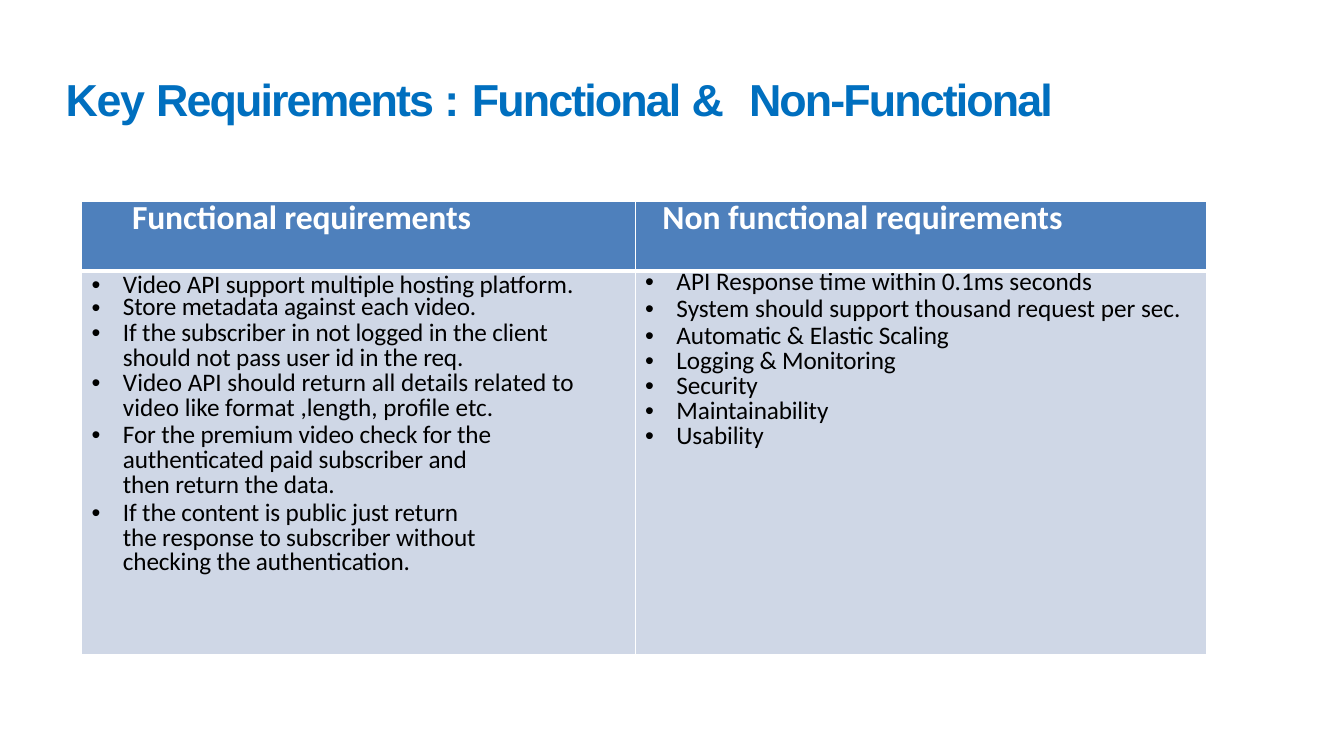
import lxml.etree
import pptx
import pptx.dml.color
import pptx.enum.text
import pptx.oxml.ns
import pptx.util

Inches = pptx.util.Inches
Pt = pptx.util.Pt
WHITE = "FFFFFF"


def color(hex):
    """Turn a hex string into a colour."""
    return pptx.dml.color.RGBColor.from_string(hex)


def node(parent, tag, **attrs):
    """Append an XML element in the drawing namespace."""
    item = lxml.etree.SubElement(parent, pptx.oxml.ns.qn("a:" + tag))
    for name, value in attrs.items():
        item.set(name, str(value))
    return item


def write(para, runs, font="Calibri", size=18, ink="000000", bold=False,
          line=None, before=0, left=0, right=0, hang=0, bullet=None):
    """Fill a paragraph with (text, letter spacing) runs and format it."""
    para.alignment = pptx.enum.text.PP_ALIGN.LEFT
    para.space_before = Pt(before)
    if line:
        para.line_spacing = Pt(line)
    props = para._p.get_or_add_pPr()
    for name, value in (("marL", left), ("marR", right), ("indent", -hang)):
        props.set(name, str(Inches(value)))
    if bullet:
        node(props, "buFont", typeface="Arial")
        node(props, "buChar", char=bullet)
    else:
        node(props, "buNone")
    for text, space in runs:
        run = para.add_run()
        run.text = text
        run.font.name = font
        run.font.size = Pt(size)
        run.font.bold = bold
        run.font.color.rgb = color(ink)
        run._r.get_or_add_rPr().set("spc", str(round(space * 100)))


class Deck:
    """Hold the style and the current slide."""

    blue, pale, accent = "4E80BC", "CFD7E6", "006FBF"

    def __init__(self):
        self.show = pptx.Presentation()
        self.show.slide_width = Inches(13.33)
        self.show.slide_height = Inches(7.5)
        self.slide = self.show.slides.add_slide(self.show.slide_layouts[5])

    def title(self, runs, left, top, width, height):
        """Place and fill the title."""
        shape = self.slide.shapes.title
        shape.left, shape.top = Inches(left), Inches(top)
        shape.width, shape.height = Inches(width), Inches(height)
        frame = shape.text_frame
        frame.margin_left = frame.margin_right = frame.margin_bottom = 0
        frame.margin_top = Inches(0.01)
        frame.vertical_anchor = pptx.enum.text.MSO_ANCHOR.MIDDLE
        frame.auto_size = pptx.enum.text.MSO_AUTO_SIZE.NONE
        write(frame.paragraphs[0], runs, font="Arial", size=32,
              ink=self.accent, bold=True, before=1, left=0.01)

    def table(self, left, top, widths, heights):
        """Add an empty table and return it."""
        table = self.slide.shapes.add_table(
            len(heights), len(widths), Inches(left), Inches(top),
            Inches(sum(widths)), Inches(sum(heights))).table
        for col, width in zip(table.columns, widths):
            col.width = Inches(width)
        for row, height in zip(table.rows, heights):
            row.height = Inches(height)
        return table

    def cell(self, cell, fill, paras, edges, top=0):
        """Fill a cell with paragraphs, a colour and white borders."""
        cell.margin_left = cell.margin_right = cell.margin_bottom = 0
        cell.margin_top = Inches(top)
        cell.fill.solid()
        cell.fill.fore_color.rgb = color(fill)
        props = cell._tc.get_or_add_tcPr()
        for spot, (side, width) in enumerate(zip("LRTB", edges)):
            edge = node(props, "ln" + side, w=Pt(width))
            node(node(edge, "solidFill"), "srgbClr", val=WHITE)
            props.insert(spot, edge)
        frame = cell.text_frame
        for spot, (runs, style) in enumerate(paras):
            para = frame.add_paragraph() if spot else frame.paragraphs[0]
            write(para, runs, **style)


def point(runs, line=17.9, **style):
    """Describe one bulleted paragraph."""
    if isinstance(runs, str):
        runs = [(runs, -0.1)]
    return runs, dict(line=line, left=0.41, hang=0.31, bullet="•", **style)


def head(runs, left):
    """Describe one header paragraph."""
    return runs, dict(size=24, ink=WHITE, bold=True, line=26.4, left=left)


deck = Deck()
deck.title([("Key ", -1), ("Requirements ", -1.4), (": ", 0),
            ("Functional ", -1.4), ("&  ", 0), ("Non-Functional", -1.4)],
           0.64, 0.7, 11.58, 0.55)

heads = [head([("Functional requirements", -0.1)], 0.5),
         head([("Non ", 0), ("functional requirements", -0.1)], 0.27)]
needs = [
    point("Video API support multiple hosting platform.", before=2.6),
    point("Store metadata against each video.", line=16.1),
    point("If the subscriber in not logged in the client should not pass "
          "user id in the req.", right=0.5),
    point([("Video API should return all details related to video like "
            "format ,length, profile etc.", 0)], right=0.3),
    point("For the premium video check for the authenticated paid "
          "subscriber and then return the data.",
          line=17.8, before=1.9, right=1.33),
    point("If the content is public just return the response to subscriber "
          "without checking the authentication.",
          line=17.8, before=1.9, right=1.52),
]
traits = [
    point([("API Response time within 0.1ms seconds", 0)], line=18.8),
    point([("System should support thousand request per sec.", 0)], line=18.8),
    point([("Automatic ", -0.1), ("& ", 0), ("Elastic Scaling", -0.1)],
          line=19.8),
] + [point(text) for text in ("Logging & Monitoring", "Security",
                              "Maintainability", "Usability")]

table = deck.table(0.81, 2, [5.49, 5.67], [0.69, 3.8])
for col, (label, items, top) in enumerate(zip(heads, (needs, traits), (0.04, 0))):
    deck.cell(table.cell(0, col), deck.blue, [label], (1, 1, 1, 3))
    deck.cell(table.cell(1, col), deck.pale, items, (1, 1, 3, 1), top)

deck.show.save("out.pptx")
